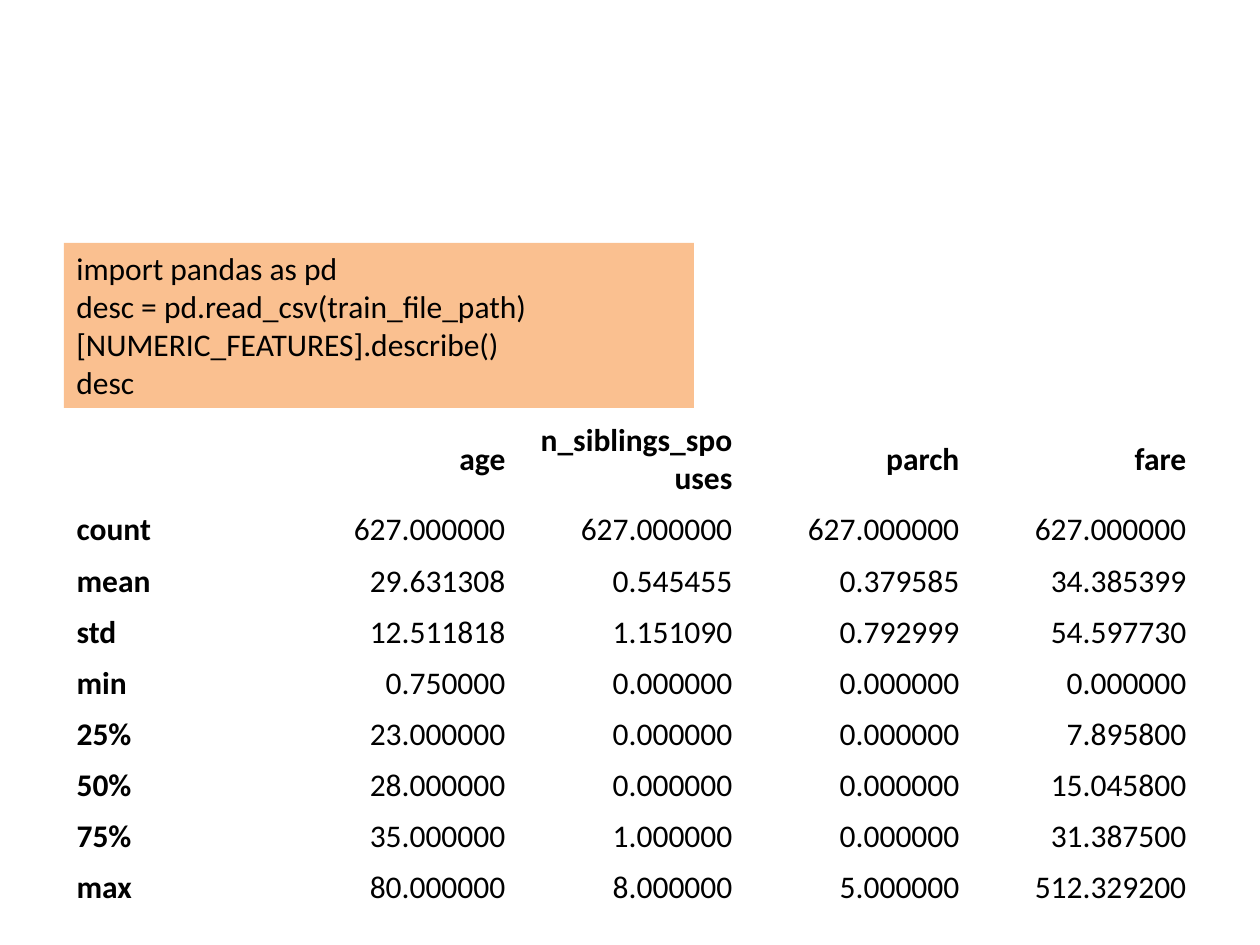
from dataclasses import dataclass

from pptx import Presentation
from pptx.dml.color import RGBColor
from pptx.enum.shapes import MSO_SHAPE
from pptx.enum.text import MSO_ANCHOR, PP_ALIGN
from pptx.util import Emu, Pt

EMU_PER_PIXEL = 914400 / 126
LEFT = 64
COLUMN_WIDTH = 227
HEADER_HEIGHT = 88
ROW_HEIGHT = 50


@dataclass(frozen=True)
class Statistic:
    name: str
    values: tuple[str, ...]


CODE_LINES = (
    "import\u00a0pandas\u00a0as\u00a0pd",
    "desc\u00a0=\u00a0pd.read_csv(train_file_path)[NUMERIC_FEATURES].describe()",
    "desc",
)
FEATURES = Statistic("", ("age", "n_siblings_spouses", "parch", "fare"))
STATISTICS = (
    Statistic("count", ("627.000000", "627.000000", "627.000000", "627.000000")),
    Statistic("mean", ("29.631308", "0.545455", "0.379585", "34.385399")),
    Statistic("std", ("12.511818", "1.151090", "0.792999", "54.597730")),
    Statistic("min", ("0.750000", "0.000000", "0.000000", "0.000000")),
    Statistic("25%", ("23.000000", "0.000000", "0.000000", "7.895800")),
    Statistic("50%", ("28.000000", "0.000000", "0.000000", "15.045800")),
    Statistic("75%", ("35.000000", "1.000000", "0.000000", "31.387500")),
    Statistic("max", ("80.000000", "8.000000", "5.000000", "512.329200")),
)


def pixels(length: int) -> Emu:
    return Emu(round(length * EMU_PER_PIXEL))


def color(value: str) -> RGBColor:
    return RGBColor.from_string(value)


def paint(target, value: str) -> None:
    target.fill.solid()
    target.fill.fore_color.rgb = color(value)


def write(paragraph, text: str, bold: bool, alignment: PP_ALIGN) -> None:
    paragraph.alignment = alignment
    run = paragraph.add_run()
    run.text = text
    run.font.name = "Calibri"
    run.font.size = Pt(18)
    run.font.bold = bold
    run.font.color.rgb = color("000000")


def draw_code(slide) -> None:
    shape = slide.shapes.add_shape(
        MSO_SHAPE.RECTANGLE, pixels(LEFT), pixels(243), pixels(630), pixels(165)
    )
    shape.shadow.inherit = False
    shape.line.fill.background()
    paint(shape, "FAC090")
    frame = shape.text_frame
    frame.word_wrap = True
    frame.vertical_anchor = MSO_ANCHOR.TOP
    for index, line in enumerate(CODE_LINES):
        paragraph = frame.add_paragraph() if index else frame.paragraphs[0]
        write(paragraph, line, False, PP_ALIGN.LEFT)


def draw_statistics(slide) -> None:
    rows = (FEATURES, *STATISTICS)
    columns = 1 + len(FEATURES.values)
    table = slide.shapes.add_table(
        len(rows),
        columns,
        pixels(LEFT),
        pixels(415),
        pixels(columns * COLUMN_WIDTH),
        pixels(HEADER_HEIGHT + len(STATISTICS) * ROW_HEIGHT),
    ).table
    table.first_row = False
    table.horz_banding = False
    for column in table.columns:
        column.width = pixels(COLUMN_WIDTH)
    for row_index, row in enumerate(rows):
        table.rows[row_index].height = pixels(ROW_HEIGHT if row_index else HEADER_HEIGHT)
        for column_index, text in enumerate((row.name, *row.values)):
            cell = table.cell(row_index, column_index)
            paint(cell, "FFFFFF")
            cell.vertical_anchor = MSO_ANCHOR.MIDDLE
            if text:
                is_heading = row_index == 0 or column_index == 0
                alignment = PP_ALIGN.RIGHT if column_index else PP_ALIGN.LEFT
                write(cell.text_frame.paragraphs[0], text, is_heading, alignment)


presentation = Presentation()
presentation.slide_width = pixels(1260)
presentation.slide_height = pixels(945)
slide = presentation.slides.add_slide(presentation.slide_layouts[6])
draw_code(slide)
draw_statistics(slide)
presentation.save("out.pptx")
